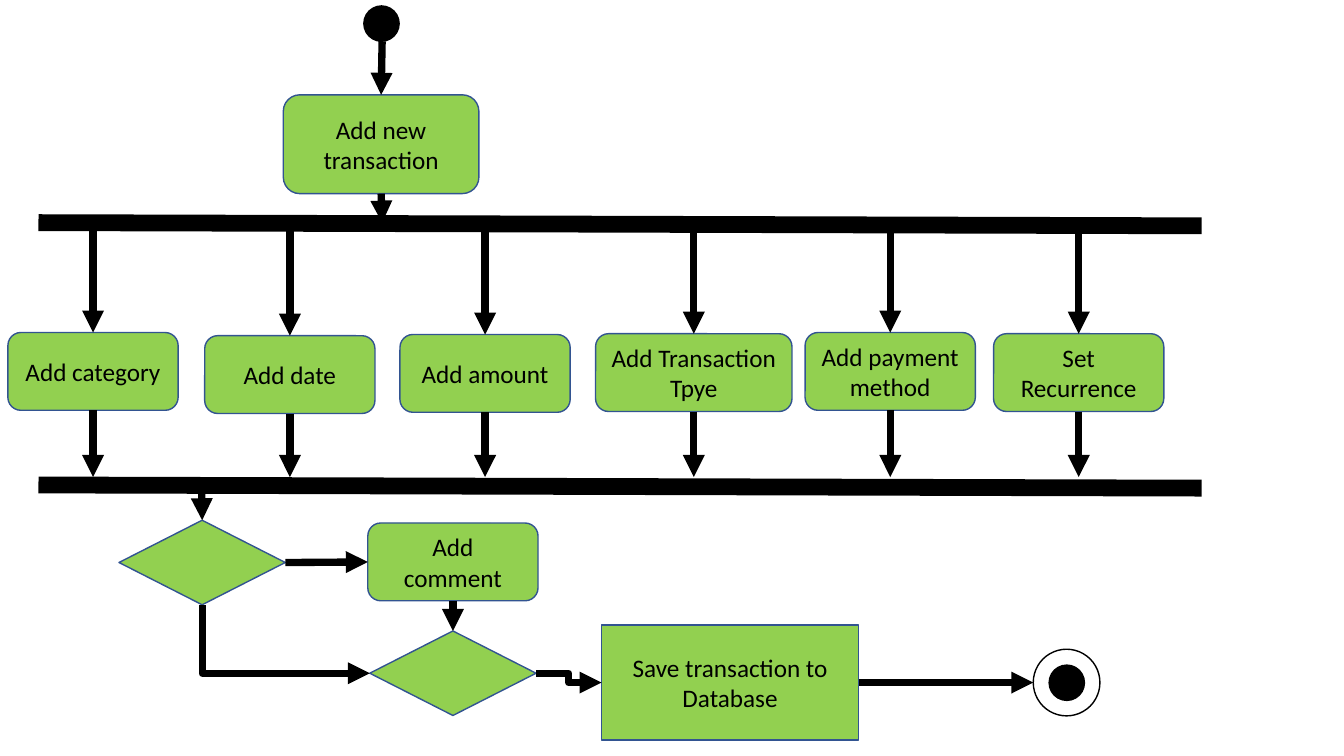
"""Build an activity diagram of adding a transaction."""

from dataclasses import dataclass
from typing import NamedTuple, Optional, Union

from lxml.etree import SubElement
from pptx import Presentation
from pptx.dml.color import RGBColor
from pptx.enum.shapes import MSO_CONNECTOR, MSO_SHAPE
from pptx.enum.text import MSO_ANCHOR, PP_ALIGN
from pptx.oxml.ns import qn
from pptx.shapes.autoshape import Shape
from pptx.shapes.connector import Connector
from pptx.slide import Slide
from pptx.util import Cm, Pt


@dataclass(frozen=True)
class Theme:
    font: str = "Calibri"
    size: float = 18
    ink: RGBColor = RGBColor(0x00, 0x00, 0x00)
    green: RGBColor = RGBColor(0x92, 0xD0, 0x50)
    border: RGBColor = RGBColor(0x32, 0x54, 0x91)
    border_width: float = 1
    arrow_width: float = 5.25
    bar_width: float = 12


@dataclass(frozen=True)
class Node:
    key: str
    left: float
    top: float
    width: float
    height: float
    text: str = ""
    kind: MSO_SHAPE = MSO_SHAPE.ROUNDED_RECTANGLE


class Point(NamedTuple):
    x: float
    y: float


class Site(NamedTuple):
    key: str
    side: int


class Arrow(NamedTuple):
    start: Union[Point, Site]
    end: Union[Point, Site]
    kind: MSO_CONNECTOR = MSO_CONNECTOR.STRAIGHT


THEME = Theme()
TOP, LEFT, BOTTOM, RIGHT = range(4)
FORK_Y, JOIN_Y, BAR_DROP = 5.61, 12.22, 0.08
BAR_LEFT, BAR_RIGHT = 0.97, 30.28
JOIN_TIP_Y = 12.02
STEP_W, STEP_H = 4.29, 1.96
DECISION_W, DECISION_H = 4.19, 2.13
DOT = 0.89

STEPS = [
    Node("category", 0.2, 8.38, STEP_W, STEP_H, "Add category"),
    Node("date", 5.16, 8.46, STEP_W, STEP_H, "Add date"),
    Node("amount", 10.08, 8.43, STEP_W, STEP_H, "Add amount"),
    Node("type", 15.01, 8.41, 4.95, STEP_H, "Add Transaction Tpye"),
    Node("payment", 20.29, 8.38, STEP_W, STEP_H, "Add payment method"),
    Node("recurrence", 25.04, 8.41, STEP_W, STEP_H, "Set Recurrence"),
]
NODES = [
    Node("new", 7.14, 2.39, 4.93, 2.49, "Add new transaction"),
    *STEPS,
    Node("decision", 3, 13.11, DECISION_W, DECISION_H, kind=MSO_SHAPE.DIAMOND),
    Node("comment", 9.27, 13.18, STEP_W, STEP_H, "Add comment"),
    Node("merge", 9.32, 15.9, DECISION_W, DECISION_H, kind=MSO_SHAPE.DIAMOND),
    Node("save", 15.16, 15.75, 6.48, 2.9, "Save transaction to Database",
         MSO_SHAPE.RECTANGLE),
]
START = Node("start", 9.17, 0.15, DOT, DOT, kind=MSO_SHAPE.OVAL)
END_DOT = Node("end dot", 26.44, 16.76, DOT, DOT, kind=MSO_SHAPE.OVAL)
END_RING = Node("end ring", 26.04, 16.36, 1.68, 1.68, kind=MSO_SHAPE.OVAL)

ARROWS = [
    Arrow(Point(9.63, 1.04), Site("new", TOP)),
    Arrow(Site("new", BOTTOM), Point(9.63, FORK_Y)),
    Arrow(Point(5.08, JOIN_Y), Site("decision", TOP)),
    Arrow(Site("decision", RIGHT), Site("comment", LEFT)),
    Arrow(Site("comment", BOTTOM), Site("merge", TOP)),
    Arrow(Site("merge", RIGHT), Site("save", LEFT), MSO_CONNECTOR.ELBOW),
    Arrow(Site("save", RIGHT), Point(26.04, 17.2)),
]


def add_text(s: Shape, text: str, *, size: float, color: RGBColor) -> None:
    """Write centred text in a shape."""
    tf = s.text_frame
    tf.word_wrap = True
    tf.vertical_anchor = MSO_ANCHOR.MIDDLE
    p = tf.paragraphs[0]
    p.alignment = PP_ALIGN.CENTER
    r = p.add_run()
    r.text = text
    r.font.name = THEME.font
    r.font.size = Pt(size)
    r.font.color.rgb = color


def add_node(slide: Slide, node: Node, fill: Optional[RGBColor],
             border: RGBColor) -> Shape:
    """Draw one node with its text, hollow when fill is None."""
    s = slide.shapes.add_shape(node.kind, Cm(node.left), Cm(node.top),
                               Cm(node.width), Cm(node.height))
    s.shadow.inherit = False
    if fill is None:
        s.fill.background()
    else:
        s.fill.solid()
        s.fill.fore_color.rgb = fill
    s.line.color.rgb = border
    s.line.width = Pt(THEME.border_width)
    if node.text:
        add_text(s, node.text, size=THEME.size, color=THEME.ink)
    return s


def style_line(c: Connector, width: float, arrow: bool) -> None:
    """Set the weight, colour and arrowhead of a connector."""
    c.line.color.rgb = THEME.ink
    c.line.width = Pt(width)
    if arrow:
        SubElement(c.line._get_or_add_ln(), qn("a:tailEnd"), type="triangle")
    SubElement(c._element.spPr, qn("a:effectLst"))


def add_bar(slide: Slide, y: float) -> None:
    """Draw a fork or join bar."""
    c = slide.shapes.add_connector(MSO_CONNECTOR.STRAIGHT, Cm(BAR_LEFT), Cm(y),
                                   Cm(BAR_RIGHT), Cm(y + BAR_DROP))
    style_line(c, THEME.bar_width, arrow=False)


def add_arrow(slide: Slide, arrow: Arrow, shapes: dict[str, Shape]) -> Connector:
    """Draw an arrow, glued to a node wherever an end is a site."""
    c = slide.shapes.add_connector(arrow.kind, 0, 0, 0, 0)
    if isinstance(arrow.start, Site):
        c.begin_connect(shapes[arrow.start.key], arrow.start.side)
    else:
        c.begin_x, c.begin_y = Cm(arrow.start.x), Cm(arrow.start.y)
    if isinstance(arrow.end, Site):
        c.end_connect(shapes[arrow.end.key], arrow.end.side)
    else:
        c.end_x, c.end_y = Cm(arrow.end.x), Cm(arrow.end.y)
    style_line(c, THEME.arrow_width, arrow=True)
    return c


def turn_corner(c: Connector) -> None:
    """Make an elbow run down first and then right, with a single bend."""
    w, h = c.width, c.height
    c.left, c.top = c.left + (w - h) // 2, c.top + (h - w) // 2
    c.width, c.height = h, w
    xfrm = c._element.spPr.find(qn("a:xfrm"))
    xfrm.set("rot", "16200000")
    xfrm.set("flipH", "1")
    c._element.spPr.find(qn("a:prstGeom")).set("prst", "bentConnector2")


def main() -> None:
    """Build and save the slide."""
    prs = Presentation()
    prs.slide_width, prs.slide_height = Cm(33.87), Cm(19.05)
    slide = prs.slides.add_slide(prs.slide_layouts[6])
    add_node(slide, START, THEME.ink, THEME.ink)
    add_node(slide, END_DOT, THEME.ink, THEME.ink)
    add_node(slide, END_RING, None, THEME.ink)
    shapes = {n.key: add_node(slide, n, THEME.green, THEME.border) for n in NODES}
    for y in (FORK_Y, JOIN_Y):
        add_bar(slide, y)
    for step in STEPS:
        x = step.left + step.width / 2
        add_arrow(slide, Arrow(Point(x, FORK_Y + BAR_DROP), Site(step.key, TOP)), shapes)
        add_arrow(slide, Arrow(Site(step.key, BOTTOM), Point(x, JOIN_TIP_Y)), shapes)
    for arrow in ARROWS:
        add_arrow(slide, arrow, shapes)
    skip = Arrow(Site("decision", BOTTOM), Site("merge", LEFT), MSO_CONNECTOR.ELBOW)
    turn_corner(add_arrow(slide, skip, shapes))
    prs.save("out.pptx")


if __name__ == "__main__":
    main()
